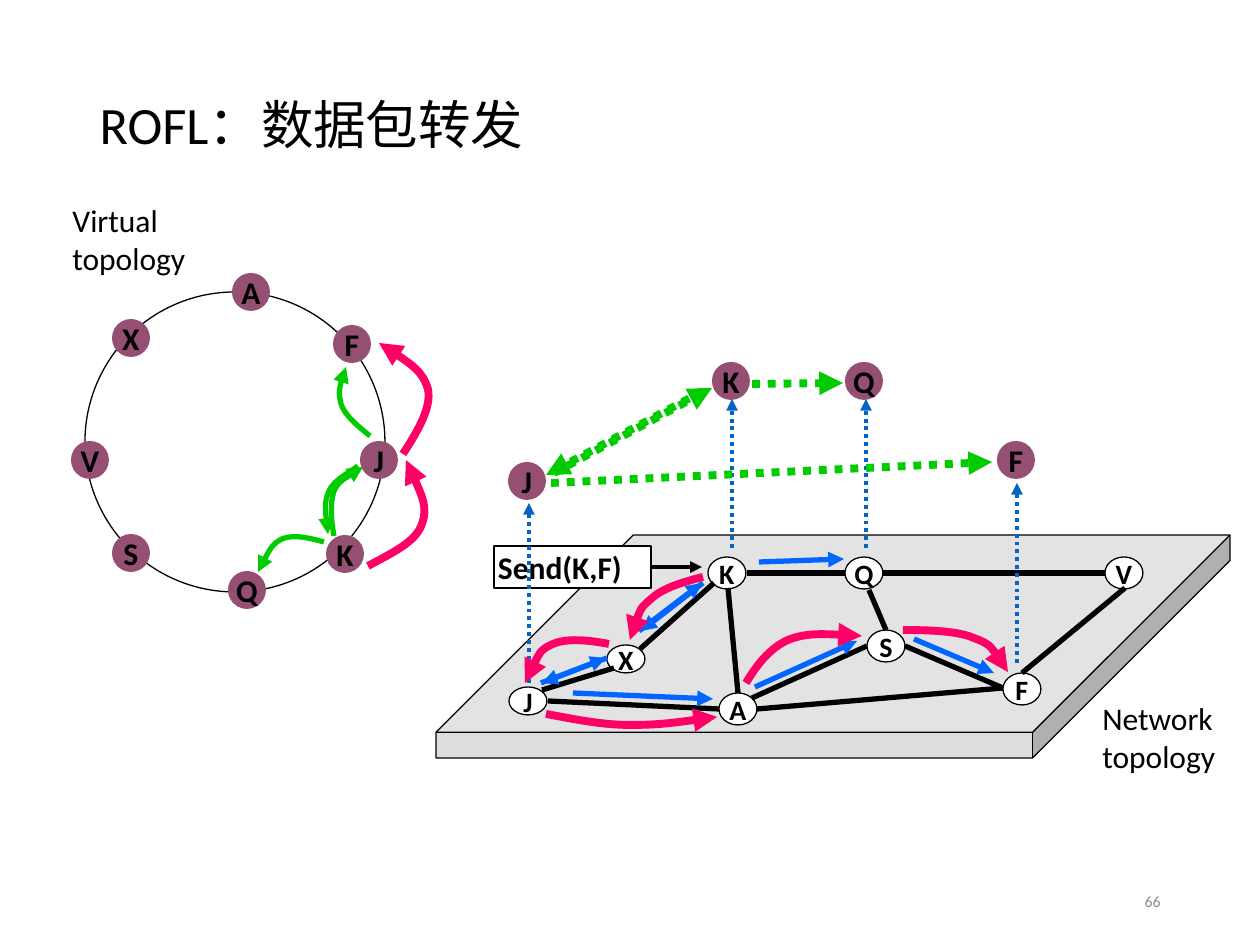
import pptx
import pptx.dml.color
import pptx.enum.dml
import pptx.enum.shapes
import pptx.enum.text
import pptx.oxml.ns
import pptx.oxml.xmlchemy
import pptx.util

PX = 914400 / 126  # EMU in one px
FONT = "Calibri"
HUES = {
    "black": "000000", "white": "FFFFFF", "slab": "DDDDDD", "plum": "954F72",
    "green": "00CC00", "pink": "FF0066", "blue": "0066FF", "lift": "0563C1",
    "gray": "8C8C8C",
}
KIND = pptx.enum.shapes.MSO_SHAPE
ALIGN = pptx.enum.text.PP_ALIGN
ANCHOR = pptx.enum.text.MSO_ANCHOR
qn = pptx.oxml.ns.qn

# Nodes: name, left, top (and height on the network)
RING = [("F", 333, 325), ("A", 232, 273), ("J", 360, 441), ("K", 326, 535),
        ("Q", 228, 571), ("V", 71, 441), ("S", 112, 534), ("X", 112, 319)]
UPPER = [("Q", 845, 362), ("J", 508, 462), ("K", 712, 362), ("F", 997, 441)]
HOSTS = [("J", 509, 687, 28), ("K", 708, 557, 32), ("Q", 845, 557, 32),
         ("F", 1003, 673, 32), ("V", 1105, 557, 32), ("A", 719, 693, 32),
         ("S", 867, 630, 32), ("X", 607, 645, 28)]

# Straight lines: x1, y1, x2, y2
LINKS = [(614, 668, 542, 690), (640, 649, 714, 583), (728, 588, 738, 693),
         (719, 709, 548, 701), (747, 573, 845, 573), (883, 573, 1105, 573),
         (1125, 588, 1022, 673), (1003, 688, 757, 709), (1003, 688, 905, 646),
         (867, 646, 752, 698), (869, 590, 886, 630)]
LIFTS = [(866, 548, 866, 399), (529, 683, 529, 503),
         (732, 548, 732, 399), (1017, 663, 1017, 483)]
JUMPS = [(752, 384, 843, 383), (551, 483, 992, 462),
         (703, 391, 546, 475), (554, 473, 712, 388)]
HOPS = [(759, 562, 844, 559), (755, 687, 857, 641), (914, 639, 994, 673),
        (573, 693, 713, 699), (703, 583, 641, 631), (607, 658, 542, 683),
        (639, 631, 702, 583), (541, 683, 606, 658)]

# Curved arrows: start, then three points for each Bezier part
KNOWN = [
    [(370, 436), (358, 426), (345, 416), (341, 404), (338, 392), (341, 379), (346, 367)],
    [(358, 466), (347, 474), (334, 480), (329, 491), (324, 503), (326, 518), (328, 534)],
    [(324, 542), (309, 538), (294, 534), (282, 539), (272, 544), (265, 558), (258, 572)],
    [(334, 536), (331, 519), (330, 504), (334, 491), (339, 481), (352, 474), (363, 467)],
]
ROUTE = [
    [(703, 577), (683, 582), (663, 588), (651, 599), (639, 609), (634, 625), (630, 640)],
    [(609, 644), (588, 640), (567, 638), (553, 644), (539, 650), (532, 667), (525, 683)],
    [(403, 454), (418, 431), (432, 407), (428, 389), (423, 372), (402, 357), (379, 343)],
    [(368, 566), (392, 553), (416, 542), (422, 524), (428, 507), (417, 483), (406, 460)],
    [(546, 714), (573, 719), (601, 725), (630, 725), (659, 725), (688, 721), (717, 717)],
    [(746, 683), (757, 665), (769, 649), (788, 640), (806, 633), (834, 634), (862, 636)],
    [(903, 630), (930, 630), (958, 631), (974, 638), (992, 645), (1000, 658), (1008, 672)],
]


def emu(*nums):
    return [round(n * PX) for n in nums]


def hue(name):
    return pptx.dml.color.RGBColor.from_string(HUES[name])


def write(shape, text, size=18, bold=False, color="black", align=ALIGN.LEFT,
          anchor=ANCHOR.TOP, wrap=False, space=None, inset=None):
    frame = shape.text_frame
    frame.text = text
    frame.word_wrap = wrap
    frame.vertical_anchor = anchor
    if inset is not None:
        frame.margin_left = emu(inset)[0]
    for para in frame.paragraphs:
        para.alignment = align
        para.line_spacing = space
        for run in para.runs:
            run.font.name = FONT
            run.font.size = pptx.util.Pt(size)
            run.font.bold = bold
            run.font.color.rgb = hue(color)


def label(slide, text, box, **form):
    write(slide.shapes.add_textbox(*emu(*box)), text, **form)


def block(slide, kind, box, fill, edge=True):
    shape = slide.shapes.add_shape(kind, *emu(*box))
    shape.shadow.inherit = False
    shape.fill.solid()
    shape.fill.fore_color.rgb = hue(fill)
    if edge:
        stroke(shape.line, "black", 0.75)
    else:
        shape.line.fill.background()
    return shape


def node(slide, name, x, y, high=38, fill="plum", size=18, edge=False):
    shape = block(slide, KIND.OVAL, (x, y, 38, high), fill, edge)
    write(shape, name, size=size, bold=True, align=ALIGN.CENTER,
          anchor=ANCHOR.MIDDLE)


def stroke(line, color, width, dots=False, arrow=False):
    line.color.rgb = hue(color)
    line.width = pptx.util.Pt(width)
    if dots:
        line.dash_style = pptx.enum.dml.MSO_LINE.ROUND_DOT
    if arrow:
        tip = pptx.oxml.xmlchemy.OxmlElement("a:tailEnd")
        tip.set("type", "triangle")
        line._get_or_add_ln().append(tip)


def wire(slide, ends, color, width, **form):
    straight = pptx.enum.shapes.MSO_CONNECTOR.STRAIGHT
    line = slide.shapes.add_connector(straight, *emu(*ends))
    stroke(line.line, color, width, **form)
    line._element.spPr.append(pptx.oxml.xmlchemy.OxmlElement("a:effectLst"))
    return line


def curve(slide, points, color, width):
    pen = slide.shapes.build_freeform(*points[0], scale=PX)
    pen.add_line_segments(points[1:], close=False)
    shape = pen.convert_to_shape()
    shape.shadow.inherit = False
    shape.fill.background()
    stroke(shape.line, color, width, arrow=True)
    # Each three line steps become one Bezier part
    steps = list(shape._element.iter(qn("a:lnTo")))
    for i in range(0, len(steps), 3):
        bend = pptx.oxml.xmlchemy.OxmlElement("a:cubicBezTo")
        steps[i].addprevious(bend)
        for step in steps[i:i + 3]:
            bend.append(step[0])
            step.getparent().remove(step)


def main():
    deck = pptx.Presentation()
    deck.slide_width, deck.slide_height = emu(1260, 945)
    slide = deck.slides.add_slide(deck.slide_layouts[5])

    # Title
    title = slide.shapes.title
    title.left, title.top, title.width, title.height = emu(87, 50, 1086, 155)
    write(title, "ROFL：数据包转发", size=30, anchor=ANCHOR.MIDDLE,
          wrap=True, space=0.9)

    # Network on its slab
    slab = block(slide, KIND.CUBE, (436, 535, 794, 223), "slab")
    slab.adjustments[0] = 0.885
    send = block(slide, KIND.RECTANGLE, (494, 546, 157, 42), "white")
    write(send, "Send(K,F)", bold=True, anchor=ANCHOR.MIDDLE, inset=4)
    for host in HOSTS:
        node(slide, *host, fill="white", size=16, edge=True)
    for ends in LINKS:
        wire(slide, ends, "black", 3)
    label(slide, "Network\ntopology", (1090, 693, 150, 88))

    # Virtual ring
    label(slide, "Virtual\ntopology", (60, 195, 145, 88))
    block(slide, KIND.OVAL, (85, 292, 300, 300), "white")
    for spot in RING + UPPER:
        node(slide, *spot)
    for points in KNOWN:
        curve(slide, points, "green", 3)

    # Packet path
    start = wire(slide, (651, 567, 702, 567), "black", 2.25, arrow=True)
    start.begin_connect(send, 3)
    for ends in LIFTS:
        wire(slide, ends, "lift", 2.25, dots=True, arrow=True)
    for ends in JUMPS:
        wire(slide, ends, "green", 4.5, dots=True, arrow=True)
    for ends in HOPS:
        wire(slide, ends, "blue", 3, arrow=True)
    for points in ROUTE:
        curve(slide, points, "pink", 4.5)

    # Page number
    label(slide, "66", (890, 876, 283, 50), size=9, color="gray",
          align=ALIGN.RIGHT, anchor=ANCHOR.MIDDLE, wrap=True)
    deck.save("out.pptx")


if __name__ == "__main__":
    main()
